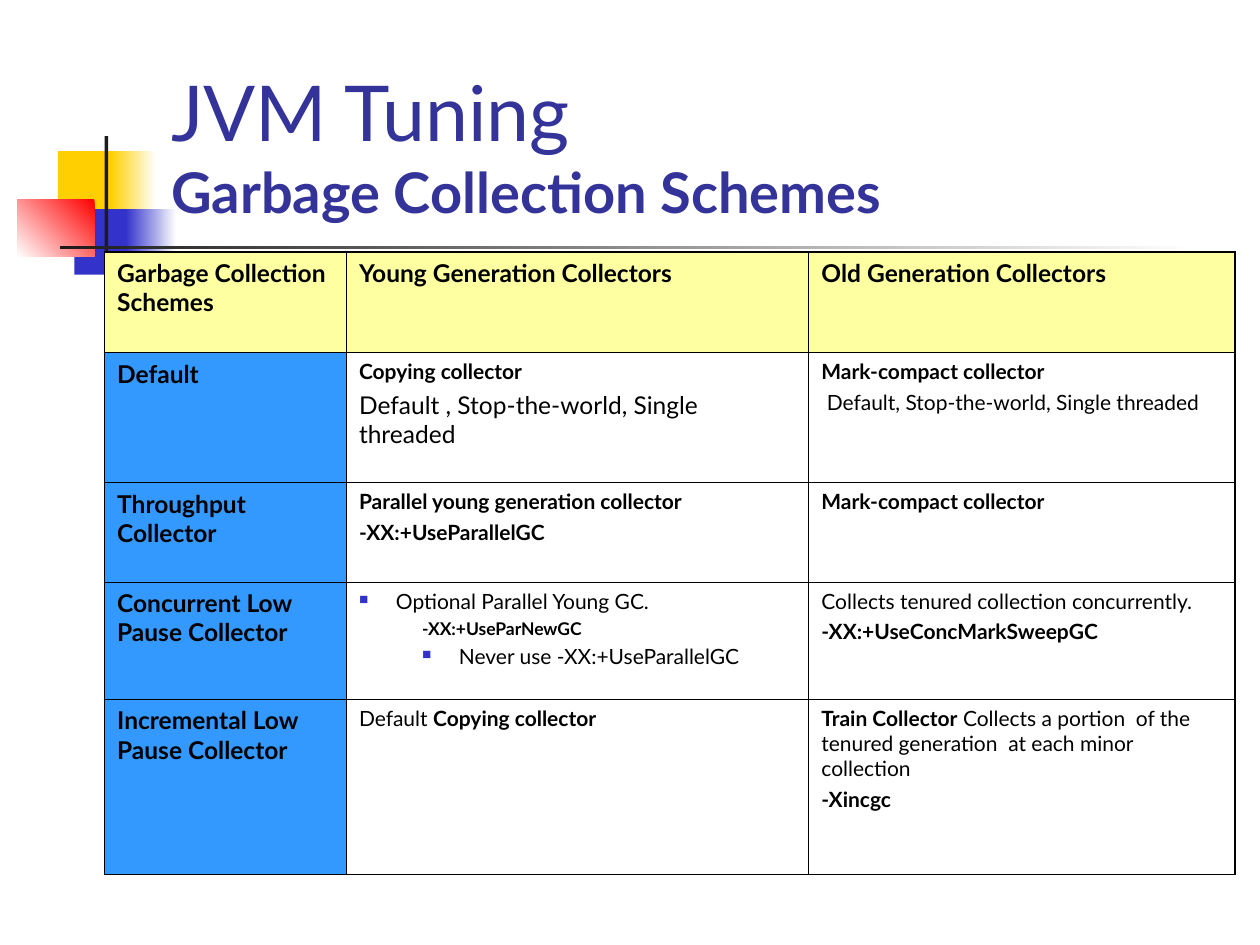
from dataclasses import dataclass

from lxml import etree
from pptx import Presentation
from pptx.dml.color import RGBColor
from pptx.enum import shapes, text
from pptx.oxml import ns
from pptx.util import Inches, Pt


@dataclass(frozen=True)
class Theme:
    font: str = "Lato"
    title: str = "333399"
    ink: str = "000000"
    paper: str = "FFFFFF"
    yellow: str = "FFCF01"
    blue: str = "3333CC"
    red: str = "FF0000"
    rule: str = "1C1C1C"
    header_fill: str = "FDFFA1"
    scheme_fill: str = "3399FF"
    title_size: float = 44
    subtitle_size: float = 32
    heading_size: float = 14
    body_size: float = 12
    small_size: float = 10
    outer_border: float = 1.08
    inner_border: float = 0.45


THEME = Theme()


@dataclass(frozen=True)
class Line:
    words: str
    bold: bool = False
    size: float = THEME.body_size
    indent: float = 0
    bullet: bool = False
    lead: str = ""
    tail: str = ""


def heading(words):
    return [Line(words, True, THEME.heading_size)]


SCHEMES = [
    [heading("Garbage Collection Schemes"),
     heading("Young Generation Collectors"),
     heading("Old Generation Collectors")],
    [heading("Default"),
     [Line("Copying collector", True),
      Line("Default , Stop-the-world, Single threaded", size=THEME.heading_size)],
     [Line("Mark-compact collector", True),
      Line(" Default, Stop-the-world, Single threaded")]],
    [heading("Throughput Collector"),
     [Line("Parallel young generation collector", True),
      Line("-XX:+UseParallelGC", True)],
     [Line("Mark-compact collector", True)]],
    [heading("Concurrent Low Pause Collector"),
     [Line(" Optional Parallel Young GC.", indent=0.25, bullet=True),
      Line("-XX:+UseParNewGC", True, THEME.small_size, 0.5),
      Line(" Never use -XX:+UseParallelGC", indent=0.75, bullet=True)],
     [Line("Collects tenured collection concurrently."),
      Line("-XX:+UseConcMarkSweepGC", True)]],
    [heading("Incremental Low Pause Collector"),
     [Line("Default ", tail="Copying collector")],
     [Line(" Collects a portion  of the tenured generation  at each minor collection",
           lead="Train Collector"),
      Line("-Xincgc", True)]],
]
COLUMN_WIDTHS = [1.92, 3.67, 3.38]
ROW_HEIGHTS = [0.8, 1.03, 0.79, 0.93, 1.39]


def rgb(color):
    return RGBColor.from_string(color)


def child(parent, tag, **attributes):
    return etree.SubElement(parent, ns.qn(tag), attributes)


def set_font(font, size, color, bold=False):
    font.name = THEME.font
    font.size = Pt(size)
    font.bold = bold
    font.color.rgb = rgb(color)


def add_block(slide, box, start, end=None, angle=0):
    block = slide.shapes.add_shape(shapes.MSO_SHAPE.RECTANGLE, *map(Inches, box))
    block.shadow.inherit = False
    block.line.fill.background()
    if end is None:
        block.fill.solid()
        block.fill.fore_color.rgb = rgb(start)
        return
    block.fill.gradient()
    block.fill.gradient_angle = angle
    for stop, color in zip(block.fill.gradient_stops, (start, end)):
        stop.color.rgb = rgb(color)


def add_emblem(slide, left, top):
    t = THEME
    blocks = [
        ((0.32, 0.12, 0.48, 0.52), t.yellow),
        ((0.74, 0.12, 0.36, 0.52), t.paper, t.yellow, 180),
        ((0.45, 0.58, 0.46, 0.52), t.blue),
        ((0.86, 0.58, 0.4, 0.52), t.paper, t.blue, 180),
        ((0, 0.5, 0.61, 0.46), t.red, t.paper, 225),
        ((0.69, 0, 0.03, 1.15), t.rule),
        ((0.34, 0.87, 9, 0.03), t.paper, t.rule, 180),
    ]
    for (x, y, width, height), *colors in blocks:
        add_block(slide, (left + x, top + y, width, height), *colors)


def place_title(slide, left, top, width, height):
    title = slide.shapes.title
    title.left, title.top = Inches(left), Inches(top)
    title.width, title.height = Inches(width), Inches(height)
    title.element.getparent().append(title.element)
    frame = title.text_frame
    frame.auto_size = text.MSO_AUTO_SIZE.NONE
    frame.word_wrap = True
    frame.vertical_anchor = text.MSO_ANCHOR.BOTTOM
    paragraph = frame.paragraphs[0]
    paragraph.alignment = text.PP_ALIGN.LEFT
    topic = paragraph.add_run()
    topic.text = "JVM Tuning"
    set_font(topic.font, THEME.title_size, THEME.title)
    paragraph.add_line_break()
    subtitle = paragraph.add_run()
    subtitle.text = "Garbage Collection Schemes"
    set_font(subtitle.font, THEME.subtitle_size, THEME.title, True)


def set_indent(paragraph, line):
    properties = paragraph._p.get_or_add_pPr()
    properties.set("marL", str(Inches(line.indent)))
    properties.set("indent", str(Inches(-0.25 if line.bullet else 0)))
    if line.bullet:
        child(child(properties, "a:buClr"), "a:srgbClr", val=THEME.blue)
        child(properties, "a:buSzPct", val="60000")
        child(properties, "a:buChar", char="■")
    else:
        child(properties, "a:buNone")


def write_line(paragraph, line):
    paragraph.space_before = Pt(line.size / 4)
    set_indent(paragraph, line)
    set_font(paragraph.font, line.size, THEME.ink, line.bold)
    for words, bold in ((line.lead, True), (line.words, line.bold), (line.tail, True)):
        if words:
            run = paragraph.add_run()
            run.text = words
            if bold != line.bold:
                run.font.bold = bold


def set_borders(cell, outer_sides):
    properties = cell._tc.get_or_add_tcPr()
    for side, outer in outer_sides.items():
        width = THEME.outer_border if outer else THEME.inner_border
        border = child(properties, f"a:ln{side}", w=str(Pt(width)))
        child(child(border, "a:solidFill"), "a:srgbClr", val=THEME.ink)


def fill_cell(cell, lines, color):
    if color:
        cell.fill.solid()
        cell.fill.fore_color.rgb = rgb(color)
    else:
        cell.fill.background()
    frame = cell.text_frame
    for index, line in enumerate(lines):
        write_line(frame.add_paragraph() if index else frame.paragraphs[0], line)


def add_schemes_table(slide, left, top, width, height):
    last_row, last_column = len(ROW_HEIGHTS) - 1, len(COLUMN_WIDTHS) - 1
    schemes = slide.shapes.add_table(
        last_row + 1, last_column + 1, *map(Inches, (left, top, width, height))).table
    schemes.first_row = schemes.horz_banding = False
    for column, column_width in zip(schemes.columns, COLUMN_WIDTHS):
        column.width = Inches(column_width)
    for row, row_height in zip(schemes.rows, ROW_HEIGHTS):
        row.height = Inches(row_height)
    for r, row in enumerate(SCHEMES):
        for c, lines in enumerate(row):
            cell = schemes.cell(r, c)
            set_borders(cell, {"L": c == 0, "R": c == last_column,
                               "T": r == 0, "B": r == last_row})
            color = THEME.header_fill if r == 0 else THEME.scheme_fill if c == 0 else None
            fill_cell(cell, lines, color)


def main():
    deck = Presentation()
    deck.slide_width, deck.slide_height = Inches(10), Inches(7.5)
    slide = deck.slides.add_slide(deck.slide_layouts[5])
    add_emblem(slide, 0.14, 1.08)
    place_title(slide, 1.26, 0.23, 8.52, 1.6)
    add_schemes_table(slide, 0.83, 2, sum(COLUMN_WIDTHS), sum(ROW_HEIGHTS))
    deck.save("out.pptx")


if __name__ == "__main__":
    main()
